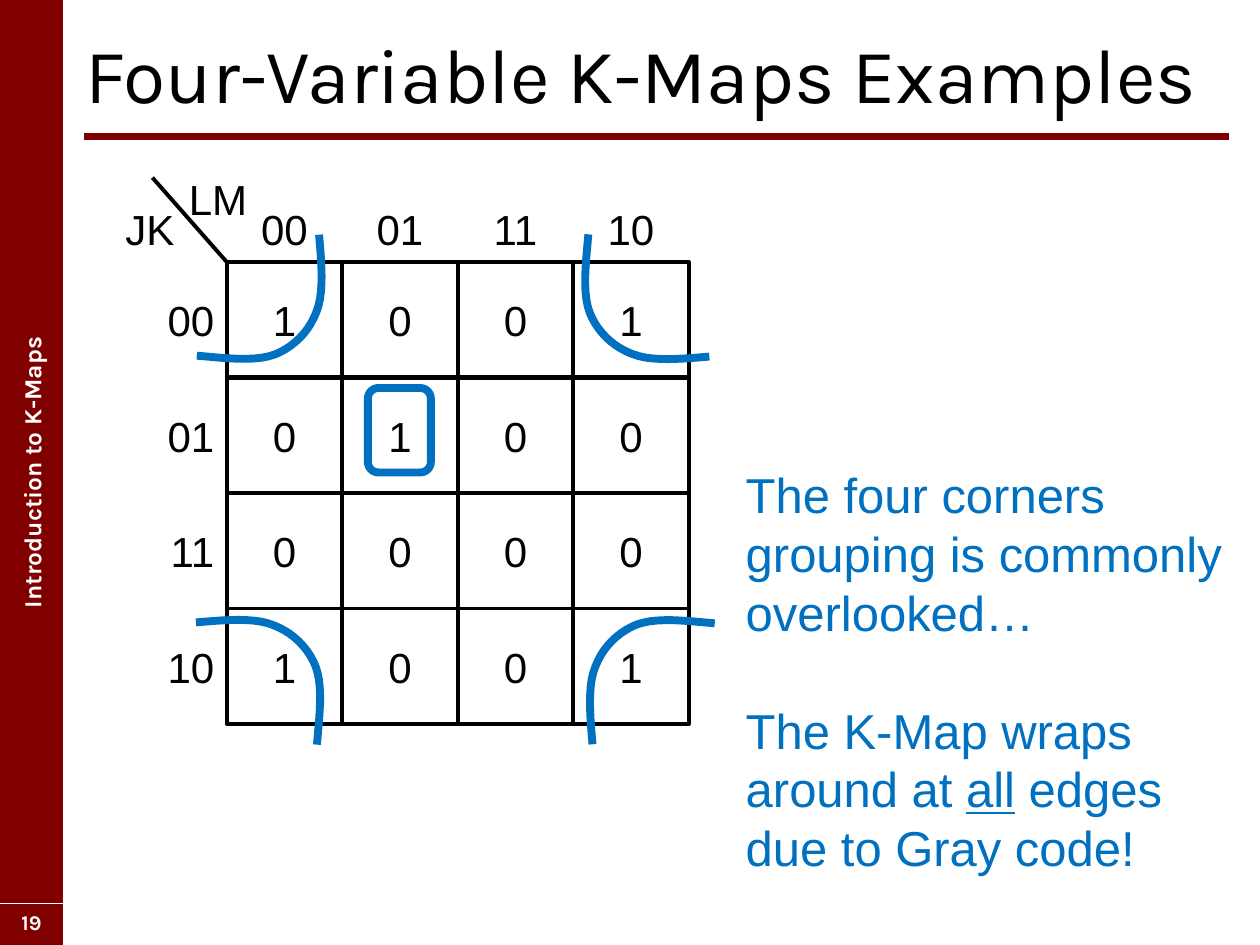
from lxml import etree
from pptx import Presentation
from pptx.dml.color import RGBColor
from pptx.enum.shapes import MSO_CONNECTOR, MSO_SHAPE
from pptx.enum.text import MSO_ANCHOR, PP_ALIGN
from pptx.oxml.ns import qn
from pptx.util import Inches, Pt

STRAIGHT = MSO_CONNECTOR.STRAIGHT
RECTANGLE = MSO_SHAPE.RECTANGLE
ROUNDED = MSO_SHAPE.ROUNDED_RECTANGLE
TOP, MIDDLE = MSO_ANCHOR.TOP, MSO_ANCHOR.MIDDLE
LEFT, CENTER, RIGHT = PP_ALIGN.LEFT, PP_ALIGN.CENTER, PP_ALIGN.RIGHT
MAROON, BLACK, WHITE, BLUE = "800000", "000000", "FFFFFF", "0070C0"


def rgb(value):
    return RGBColor.from_string(value)


def write(shape, text, size=24, font="Arial", color=BLACK, bold=False, align=CENTER,
          anchor=TOP, wrap=False, side_inset=0.1, gap=0):
    frame = shape.text_frame
    frame.word_wrap = wrap
    frame.vertical_anchor = anchor
    frame.margin_left = frame.margin_right = Inches(side_inset)
    for index, line in enumerate(text.split("\n")):
        paragraph = frame.add_paragraph() if index else frame.paragraphs[0]
        paragraph.alignment = align
        if index:
            paragraph.space_before = Pt(gap)
        for part, words in enumerate(line.split("*")):
            run = paragraph.add_run()
            run.text = words
            run.font.size = Pt(size)
            run.font.name = font
            run.font.bold = bold
            run.font.color.rgb = rgb(color)
            if part % 2:
                run.font.underline = True


prs = Presentation()
prs.slide_width, prs.slide_height = Inches(10), Inches(7.5)
slide = prs.slides.add_slide(prs.slide_layouts[6])
shapes = slide.shapes

sidebar = shapes.add_shape(RECTANGLE, Inches(-3.5), Inches(3.5), Inches(7.5), Inches(0.5))
sidebar.rotation = 270
sidebar.shadow.inherit = False
sidebar.fill.solid()
sidebar.fill.fore_color.rgb = rgb(MAROON)
sidebar.line.fill.background()
write(sidebar, "Introduction to K-Maps", size=14, font="Karla", color=WHITE, bold=True, anchor=MIDDLE)

page_number = shapes.add_textbox(Inches(0), Inches(7.17), Inches(0.5), Inches(0.3))
write(page_number, "19", size=12, font="Karla", color=WHITE, bold=True, wrap=True)

title = shapes.add_textbox(Inches(0.58), Inches(0.08), Inches(9.33), Inches(1))
write(title, "Four-Variable K-Maps Examples", size=44, font="Karla", align=LEFT, anchor=MIDDLE, wrap=True)

map_left, map_top, cell = 1.8, 2.08, 11 / 12

for x1, y1, x2, y2, color, weight in [
    (0.67, 1.08, 9.75, 1.08, MAROON, 4),
    (0, 7.17, 0.5, 7.17, WHITE, 0.75),
    (map_left, map_top, 1.21, 1.41, BLACK, 2.25),
]:
    rule = shapes.add_connector(STRAIGHT, Inches(x1), Inches(y1), Inches(x2), Inches(y2))
    rule.line.color.rgb = rgb(color)
    rule.line.width = Pt(weight)
    etree.SubElement(rule._element.spPr, qn("a:effectLst"))

for name, x, y in [("JK", 0.88, 1.57), ("LM", 1.42, 1.33)]:
    variables = shapes.add_textbox(Inches(x), Inches(y), Inches(0.62), Inches(0.5))
    write(variables, name, side_inset=0)

gray_code = ["00", "01", "11", "10"]
for index, code in enumerate(gray_code):
    column_label = shapes.add_textbox(
        Inches(map_left + index * cell), Inches(1.57), Inches(cell), Inches(0.5))
    write(column_label, code)
    row_label = shapes.add_textbox(
        Inches(map_left - cell), Inches(map_top + index * cell), Inches(cell), Inches(cell))
    write(row_label, code, align=RIGHT, anchor=MIDDLE)

for row, values in enumerate(["1001", "0100", "0000", "1001"]):
    for column, value in enumerate(values):
        square = shapes.add_shape(
            RECTANGLE, Inches(map_left + column * cell), Inches(map_top + row * cell),
            Inches(cell), Inches(cell))
        square.shadow.inherit = False
        square.fill.solid()
        square.fill.fore_color.rgb = rgb(WHITE)
        square.line.color.rgb = rgb(BLACK)
        square.line.width = Pt(2.25)
        write(square, value, anchor=MIDDLE, side_inset=0)

remarks = shapes.add_textbox(Inches(5.82), Inches(3.64), Inches(4.01), Inches(3.52))
write(remarks, "The four corners grouping is commonly overlooked…\n"
      "The K-Map wraps around at *all* edges due to Gray code!",
      size=28, color=BLUE, align=LEFT, wrap=True, gap=33.5)

groups = [shapes.add_shape(ROUNDED, Inches(2.92), Inches(3.08), Inches(0.5), Inches(0.67))]

bends = [
    [(0.03, 0), (0.01, 0.23), (-0.02, 0.46), (0.04, 0.62)],
    [(0.04, 0.62), (0.1, 0.77), (0.22, 0.89), (0.38, 0.95)],
    [(0.38, 0.95), (0.53, 1.01), (0.76, 0.99), (0.99, 0.97)],
]
steps = 10
arc = [bends[0][0]]
for bend in bends:
    for step in range(1, steps + 1):
        t = step / steps
        weights = [(1 - t) ** 3, 3 * t * (1 - t) ** 2, 3 * t ** 2 * (1 - t), t ** 3]
        arc.append(tuple(sum(w * point[axis] for w, point in zip(weights, bend)) for axis in (0, 1)))

for turn, (x, y) in enumerate([(4.64, 1.86), (4.68, 4.92), (1.55, 4.92), (1.56, 1.86)]):
    points = [(Inches(x + dx), Inches(y + dy)) for dx, dy in arc]
    outline = shapes.build_freeform(*points[0])
    outline.add_line_segments(points[1:], close=False)
    corner = outline.convert_to_shape()
    corner.rotation = 90 * turn
    groups.append(corner)

for group in groups:
    group.shadow.inherit = False
    group.fill.background()
    group.line.color.rgb = rgb(BLUE)
    group.line.width = Pt(4.5)

prs.save("out.pptx")
